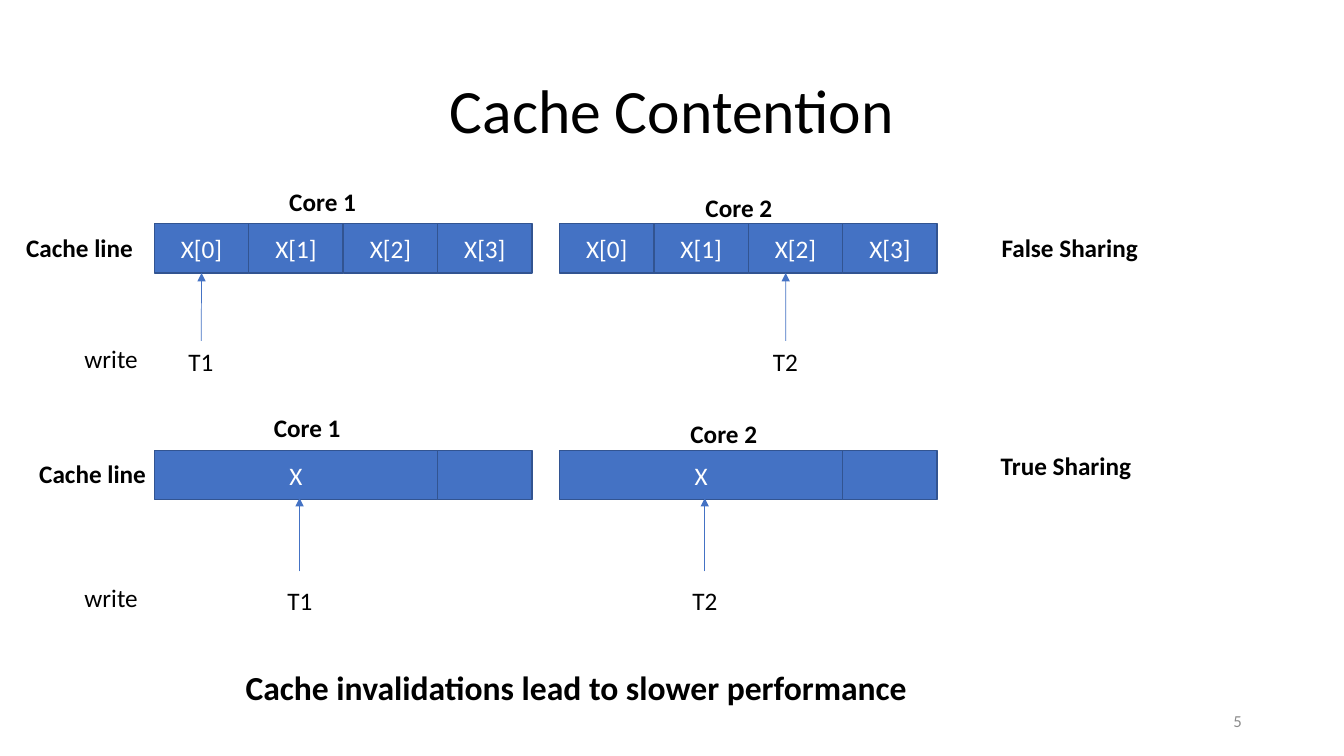
from lxml import etree
from pptx import Presentation
from pptx import util as u
from pptx.dml.color import RGBColor
from pptx.enum import shapes, text
from pptx.oxml.ns import qn

COLORS = {"black": "000000", "white": "FFFFFF", "cell": "4472C4",
          "edge": "325491", "number": "8C8C8C"}
CELL_W, CELL_H = 2.38, 1.24
CORE_LEFTS = (3.89, 14.1)
FALSE_TOP, TRUE_TOP = 5.64, 11.35


def rgb(name):
    return RGBColor.from_string(COLORS[name])


def write_text(tf, words, size=18, bold=False, color="black", font="Calibri",
               align=text.PP_ALIGN.LEFT, anchor=text.MSO_ANCHOR.TOP, spacing=None):
    tf.vertical_anchor = anchor
    p = tf.paragraphs[0]
    p.alignment = align
    if spacing:
        p.line_spacing = spacing
    r = p.add_run()
    r.text = words
    r.font.name = font
    r.font.size = u.Pt(size)
    r.font.bold = bold
    r.font.color.rgb = rgb(color)


class Deck:
    def __init__(self):
        self.prs = Presentation()
        self.prs.slide_width = u.Cm(33.87)
        self.prs.slide_height = u.Cm(19.05)
        self.s = self.prs.slides.add_slide(self.prs.slide_layouts[5])

    def title(self, words, x, y, w, h):
        sp = self.s.shapes.title
        sp.left, sp.top, sp.width, sp.height = map(u.Cm, (x, y, w, h))
        sp.text_frame.auto_size = text.MSO_AUTO_SIZE.NONE
        write_text(sp.text_frame, words, size=44, align=text.PP_ALIGN.CENTER,
                   anchor=text.MSO_ANCHOR.MIDDLE, spacing=0.9)

    def label(self, words, x, y, w, h=1.02, wrap=False, **style):
        sp = self.s.shapes.add_textbox(*map(u.Cm, (x, y, w, h)))
        sp.text_frame.word_wrap = wrap
        write_text(sp.text_frame, words, **style)
        return sp

    def cell(self, words, x, y, span=1):
        sp = self.s.shapes.add_shape(
            shapes.MSO_SHAPE.RECTANGLE, *map(u.Cm, (x, y, CELL_W * span, CELL_H)))
        sp.shadow.inherit = False
        sp.fill.solid()
        sp.fill.fore_color.rgb = rgb("cell")
        sp.line.color.rgb = rgb("edge")
        sp.line.width = u.Pt(1)
        if words:
            write_text(sp.text_frame, words, color="white", align=text.PP_ALIGN.CENTER,
                       anchor=text.MSO_ANCHOR.MIDDLE)
        return sp

    def arrow(self, x, bottom, top, source=None, target=None):
        c = self.s.shapes.add_connector(
            shapes.MSO_CONNECTOR.STRAIGHT, *map(u.Cm, (x, bottom, x, top)))
        c.line.color.rgb = rgb("cell")
        c.line.width = u.Pt(0.5)
        etree.SubElement(c.line._get_or_add_ln(), qn("a:tailEnd"), type="triangle")
        etree.SubElement(c._element.spPr, qn("a:effectLst"))
        if source is not None:
            c.begin_connect(source, 0)
        if target is not None:
            c.end_connect(target, 2)

    def save(self):
        self.prs.save("out.pptx")


def main():
    deck = Deck()
    deck.title("Cache Contention", 2.33, 1.01, 29.21, 3.68)

    false_lines = [[deck.cell(f"X[{i}]", left + i * CELL_W, FALSE_TOP) for i in range(4)]
                   for left in CORE_LEFTS]
    for left in CORE_LEFTS:
        deck.cell("X", left, TRUE_TOP, span=3)
        deck.cell("", left + 3 * CELL_W, TRUE_TOP)

    t1 = deck.label("T1", 4.5, 8.59, 1.14)
    t2 = deck.label("T2", 19.23, 8.59, 1.14)
    deck.arrow(5.07, 8.59, 6.88, source=t1, target=false_lines[0][0])
    deck.arrow(19.8, 8.59, 6.88, source=t2)
    for thread, x in (("T1", 7.55), ("T2", 17.76)):
        deck.label(thread, x - 0.56, 14.63, 1.14)
        deck.arrow(x, 14.4, 12.55)

    for words, x, y, w in (
            ("Core 1", 7.04, 4.56, 2.21), ("Core 2", 17.53, 4.71, 2.21),
            ("Core 1", 6.65, 10.26, 2.21), ("Core 2", 17.15, 10.41, 2.21),
            ("Cache line", 0.41, 5.73, 3.2), ("Cache line", 0.74, 11.43, 3.2),
            ("False Sharing", 24.99, 5.73, 3.96), ("True Sharing", 24.97, 11.23, 3.84)):
        deck.label(words, x, y, w, bold=True)
    for y in (8.53, 14.56):
        deck.label("write", 1.88, y, 2.62, wrap=True)

    deck.label("Cache invalidations lead to slower performance", 5.94, 16.69, 17.58, 1.27,
               wrap=True, size=24, bold=True)
    deck.label("5", 23.93, 17.65, 7.62, wrap=True, size=12, color="number",
               align=text.PP_ALIGN.RIGHT, anchor=text.MSO_ANCHOR.MIDDLE)
    deck.save()


if __name__ == "__main__":
    main()
